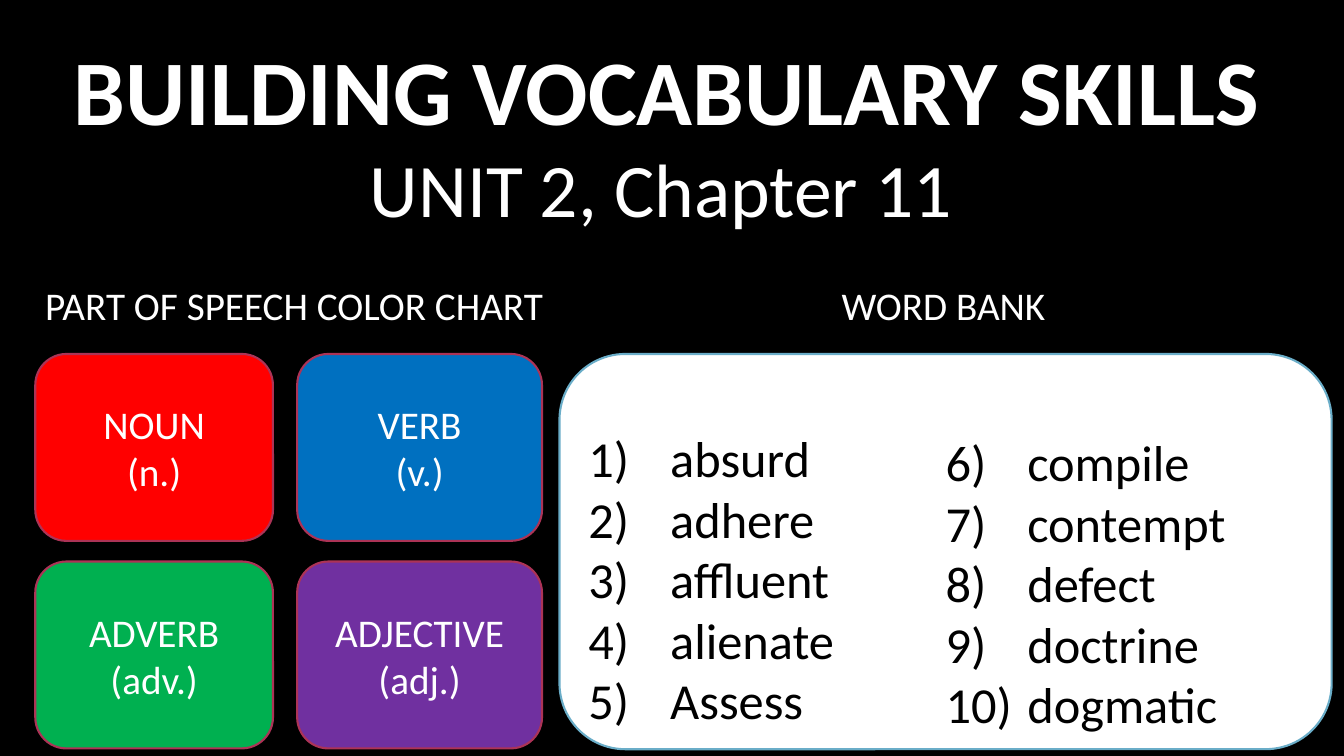
"""Build the vocabulary title slide with its colour chart and word bank."""
import dataclasses
import typing

import pptx
import pptx.dml.color
import pptx.enum.shapes
import pptx.enum.text
import pptx.oxml.ns
import pptx.util
from lxml import etree

Cm = pptx.util.Cm
Align = pptx.enum.text.PP_ALIGN
Anchor = pptx.enum.text.MSO_ANCHOR


@dataclasses.dataclass(frozen=True)
class Theme:
    """Colours and type sizes of the slide."""
    font: str = "Calibri"
    black: str = "000000"
    white: str = "FFFFFF"
    tile_line: str = "AC3356"
    bank_line: str = "6AADC8"
    noun: str = "FF0000"
    verb: str = "0070C0"
    adverb: str = "00B050"
    adjective: str = "7030A0"
    title: int = 66
    subtitle: int = 54
    label: int = 28
    word: int = 36
    line: float = 1.5


class Area(typing.NamedTuple):
    """A rectangle in centimetres."""
    left: float
    top: float
    width: float
    height: float


@dataclasses.dataclass(frozen=True)
class Caption:
    """A line of white text on the background."""
    text: str
    area: Area
    size: int
    align: Align
    anchor: Anchor
    bold: bool = False
    wrap: bool = True


@dataclasses.dataclass(frozen=True)
class Tile:
    """A part of speech with its colour."""
    name: str
    short: str
    color: str


@dataclasses.dataclass(frozen=True)
class WordList:
    """A numbered column of the word bank."""
    start: int
    words: tuple[str, ...]
    area: Area


THEME = Theme()
CAPTIONS = (
    Caption("BUILDING VOCABULARY SKILLS", Area(0.89, 1.3, 31.85, 1.85), THEME.title,
            Align.CENTER, Anchor.MIDDLE, bold=True),
    Caption("UNIT 2, Chapter 11", Area(8.86, 3.66, 15.6, 2.11), THEME.subtitle,
            Align.CENTER, Anchor.MIDDLE),
    Caption("PART OF SPEECH COLOR CHART", Area(0.89, 6.96, 13.2, 1.45), THEME.label,
            Align.LEFT, Anchor.TOP, wrap=False),
    Caption("WORD BANK", Area(20.96, 6.96, 5.72, 1.45), THEME.label,
            Align.LEFT, Anchor.TOP, wrap=False),
)
TILES = (
    Tile("NOUN", "(n.)", THEME.noun),
    Tile("VERB", "(v.)", THEME.verb),
    Tile("ADVERB", "(adv.)", THEME.adverb),
    Tile("ADJECTIVE", "(adj.)", THEME.adjective),
)
TILE_COLUMNS = ((0.89, 5.99), (7.49, 6.17))
TILE_TOP, TILE_STEP, TILE_HEIGHT = 8.92, 5.23, 4.71
BANK = Area(14.1, 8.92, 19.46, 9.96)
WORD_INDENT = 2.06
WORD_LISTS = (
    WordList(1, ("absurd", "adhere", "affluent", "alienate", "Assess"),
             Area(14.83, 10.77, 8.99, 7.75)),
    WordList(6, ("compile", "contempt", "defect", "doctrine", "dogmatic"),
             Area(23.83, 10.87, 8.99, 7.75)),
)


def rgb(color: str) -> pptx.dml.color.RGBColor:
    """Turn a hex string into a colour."""
    return pptx.dml.color.RGBColor.from_string(color)


def apply(target: typing.Any, values: dict[str, typing.Any]) -> None:
    """Set every attribute named in the values."""
    for name, value in values.items():
        setattr(target, name, value)


def number(para: typing.Any, start: int) -> None:
    """Give a paragraph a hanging number such as 1)."""
    props = para._p.get_or_add_pPr()
    indent = int(Cm(WORD_INDENT))
    props.set("marL", str(indent))
    props.set("indent", str(-indent))
    etree.SubElement(props, pptx.oxml.ns.qn("a:buAutoNum"),
                     type="arabicParenR", startAt=str(start))


def write(frame: typing.Any, lines: tuple[str, ...], size: int, color: str,
          align: Align, bold: bool = False, start: int | None = None) -> None:
    """Fill a text frame with one paragraph for each line."""
    for index, line in enumerate(lines):
        para = frame.paragraphs[0] if index == 0 else frame.add_paragraph()
        para.alignment = align
        if start is not None:
            number(para, start)
        span = para.add_run()
        span.text = line
        apply(span.font, {"name": THEME.font, "size": pptx.util.Pt(size), "bold": bold})
        span.font.color.rgb = rgb(color)


def add_box(page: typing.Any, area: Area) -> typing.Any:
    """Add a text box and return its frame."""
    return page.shapes.add_textbox(*map(Cm, area)).text_frame


def add_caption(page: typing.Any, caption: Caption) -> None:
    """Draw a caption."""
    frame = add_box(page, caption.area)
    apply(frame, {"word_wrap": caption.wrap, "vertical_anchor": caption.anchor})
    write(frame, (caption.text,), caption.size, THEME.white, caption.align, caption.bold)


def add_card(page: typing.Any, area: Area, fill: str, line: str) -> typing.Any:
    """Draw a rounded card and return its frame."""
    card = page.shapes.add_shape(
        pptx.enum.shapes.MSO_SHAPE.ROUNDED_RECTANGLE, *map(Cm, area))
    card.shadow.inherit = False
    card.fill.solid()
    card.fill.fore_color.rgb = rgb(fill)
    card.line.color.rgb = rgb(line)
    card.line.width = pptx.util.Pt(THEME.line)
    apply(card.text_frame, {"word_wrap": True, "vertical_anchor": Anchor.MIDDLE})
    return card.text_frame


def add_word_list(page: typing.Any, words: WordList) -> None:
    """Draw a numbered column of words."""
    frame = add_box(page, words.area)
    apply(frame, {"word_wrap": True, "margin_left": 0, "margin_right": 0,
                  "margin_top": 0, "margin_bottom": 0})
    write(frame, words.words, THEME.word, THEME.black, Align.LEFT, start=words.start)


def main() -> None:
    """Build and save the deck."""
    deck = pptx.Presentation()
    apply(deck, {"slide_width": Cm(33.87), "slide_height": Cm(19.05)})
    page = deck.slides.add_slide(deck.slide_layouts[6])
    page.background.fill.solid()
    page.background.fill.fore_color.rgb = rgb(THEME.black)
    for caption in CAPTIONS:
        add_caption(page, caption)
    for index, tile in enumerate(TILES):
        row, column = divmod(index, len(TILE_COLUMNS))
        left, width = TILE_COLUMNS[column]
        area = Area(left, TILE_TOP + row * TILE_STEP, width, TILE_HEIGHT)
        frame = add_card(page, area, tile.color, THEME.tile_line)
        write(frame, (tile.name, tile.short), THEME.label, THEME.white, Align.CENTER)
    add_card(page, BANK, THEME.white, THEME.bank_line)
    for words in WORD_LISTS:
        add_word_list(page, words)
    deck.save("out.pptx")


if __name__ == "__main__":
    main()
